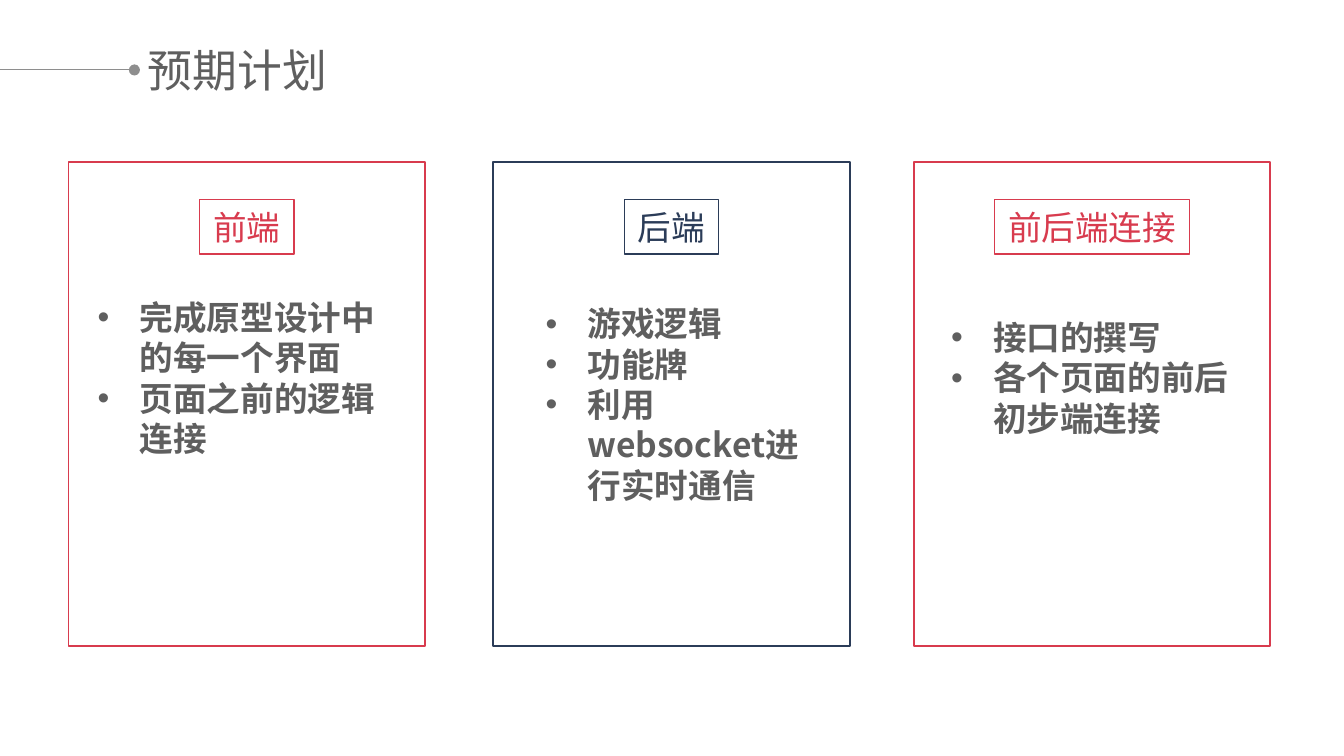
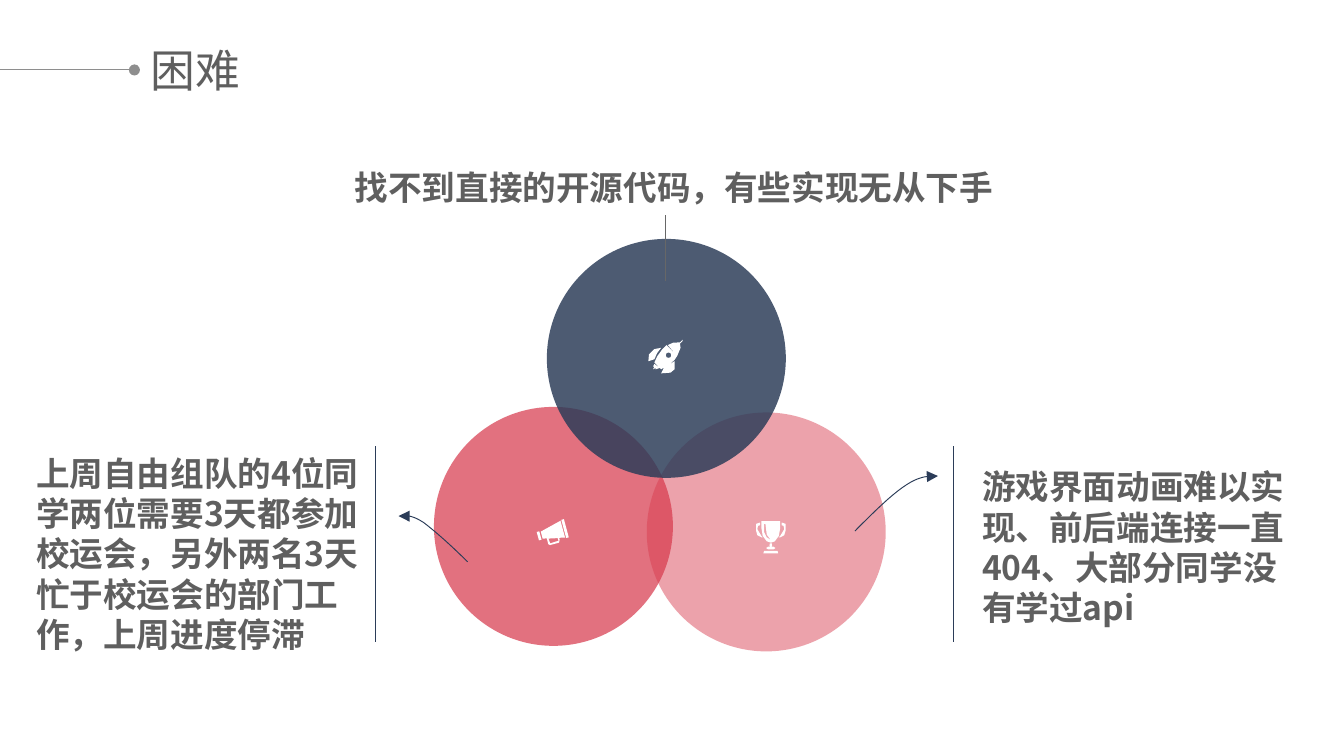
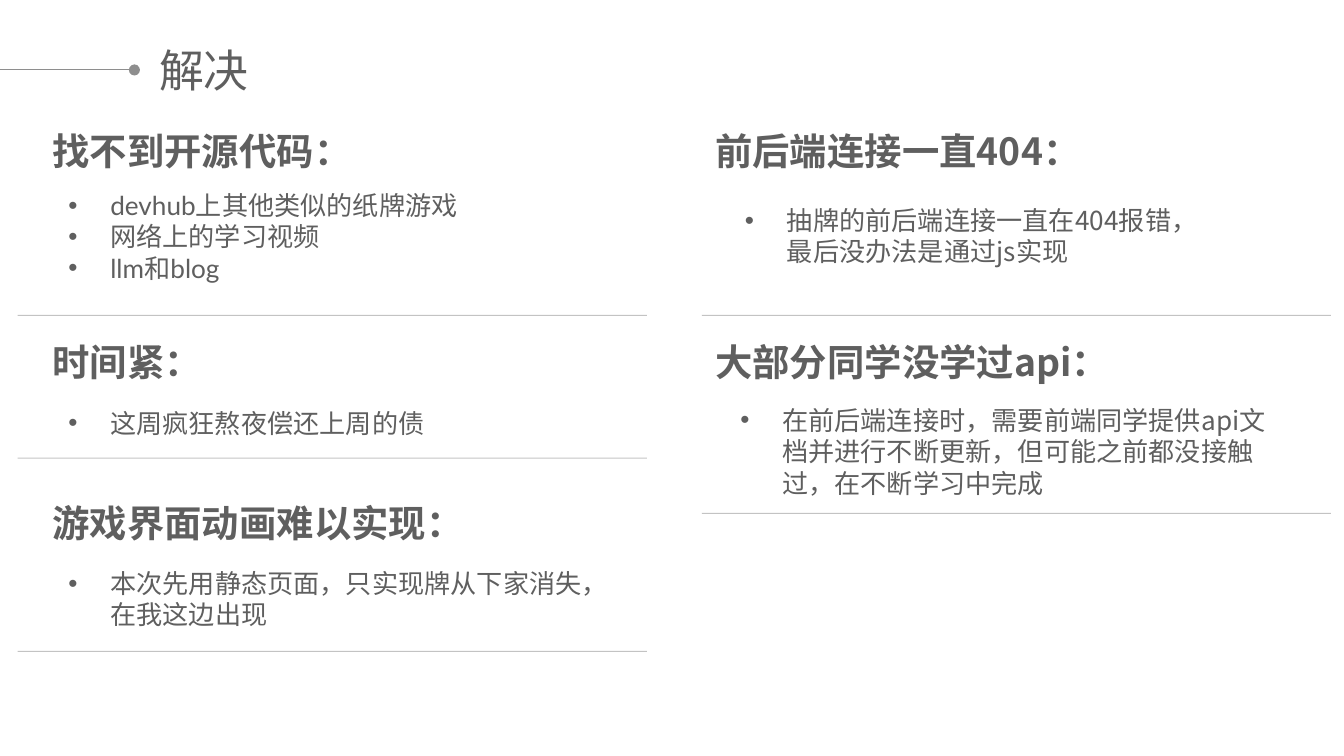
from lxml.etree import SubElement
from pptx import Presentation
from pptx.dml.color import RGBColor
from pptx.enum.shapes import MSO_CONNECTOR, MSO_SHAPE
from pptx.enum.text import MSO_ANCHOR, PP_ALIGN
from pptx.oxml.ns import qn
from pptx.util import Pt

RED, NAVY, GREY = "D83B4E", "2B3C58", "5F5F5F"
RULE_GREY, TITLE_LINE, WHITE = "676767", "8E8E8E", "FFFFFF"
CJK_FONT, LATIN_FONT = "Noto Sans CJK SC", "Lato"
INDENT = 22.5
ICON_UNIT = 0.72

FORMATS = {
    "title": {"name": CJK_FONT, "size": Pt(24), "bold": False},
    "badge": {"name": CJK_FONT, "size": Pt(18), "bold": False},
    "body": {"name": CJK_FONT, "size": Pt(18), "bold": True},
    "heading": {"name": CJK_FONT, "size": Pt(20), "bold": True},
    "detail": {"name": CJK_FONT, "size": Pt(14), "bold": False},
    "latin detail": {"name": LATIN_FONT, "size": Pt(14), "bold": False},
}

# Icon outlines: contours of points on a grid of ICON_UNIT.
ROCKET = [
    [(10, 25), (12, 21), (20, 16), (20, 22), (17, 24.5)],
    [(5, 17), (7, 12.5), (11, 7), (14, 4), (22, 12), (20, 15), (16, 18.5), (10, 22)],
    [(14, 10), (15.5, 9.5), (17, 10), (17.5, 11.5), (17, 13), (15.5, 13.5),
     (14, 13), (13.5, 11.5)],
    [(15, 4), (19, 2.2), (24, 2), (26, 0), (26, 1), (24, 3), (24.5, 6), (22, 12)],
    [(0.5, 16), (1, 11), (5, 7), (10, 6), (7, 10), (5, 14.5)],
    [(6, 22), (6, 21), (4, 22), (5, 20), (4, 20), (5, 18), (9, 21)],
]
MEGAPHONE = [
    [(20, 0), (22, 0), (22, 14), (20, 14)],
    [(3, 4.5), (19.3, 0.5), (19.3, 13.5), (15, 12.5), (15, 14), (14, 16),
     (7, 16), (6, 15), (6, 10.5), (3, 10)],
    [(7.2, 11), (14, 12.5), (14, 14.5), (7.5, 14.8)],
    [(0, 4), (2, 4), (2, 10.5), (0, 10.5)],
]
HANDLE = [(18, 12), (17, 12), (18, 11), (21, 6), (20.5, 3.5), (19, 3), (19, 1),
          (22, 2), (22, 7), (21, 10.5)]
TROPHY = [
    [(4, 0), (18, 0), (18, 5), (17, 11), (14, 15), (11, 16), (8, 15), (5, 11), (4, 5)],
    [(7, 2), (6, 2), (6, 8), (8, 12), (11, 14), (8, 10)],
    HANDLE,
    [(22 - x, y) for x, y in HANDLE],
    [(10, 18), (10.3, 16.5), (11.7, 16.5), (12, 18), (11.5, 19), (10.5, 19)],
    [(9, 19), (13, 19), (14.5, 20), (13, 21), (9, 21), (7.5, 20)],
    [(6, 22), (16, 22), (16.5, 24), (5.5, 24)],
]


def color(hex_text):
    return RGBColor.from_string(hex_text)


def set_opacity(shape, percent):
    for node in shape.element.spPr.iter(qn("a:srgbClr")):
        SubElement(node, qn("a:alpha"), val=str(percent * 1000))


def style_line(shape, hex_text, width, end=None):
    shape.line.color.rgb = color(hex_text)
    shape.line.width = Pt(width)
    if end:
        outline = shape.element.spPr.find(qn("a:ln"))
        SubElement(outline, qn("a:tailEnd"), type=end)


def add_line(page, start, finish, hex_text, end=None):
    line = page.shapes.add_connector(
        MSO_CONNECTOR.STRAIGHT, *(Pt(value) for value in (*start, *finish)))
    style_line(line, hex_text, 0.5, end)
    SubElement(line.element.spPr, qn("a:effectLst"))
    return line


def add_shape(page, kind, bounds):
    shape = page.shapes.add_shape(kind, *(Pt(value) for value in bounds))
    shape.shadow.inherit = False
    shape.fill.background()
    return shape


def add_bullet(para):
    properties = para._p.get_or_add_pPr()
    properties.set("marL", str(Pt(INDENT)))
    properties.set("indent", str(-Pt(INDENT)))
    SubElement(properties, qn("a:buFont"), typeface="Arial")
    SubElement(properties, qn("a:buChar"), char="•")


def write(shape, lines, style, hex_text=GREY, align=PP_ALIGN.LEFT, bullets=False):
    """Fill a shape with one paragraph for each line, in a named format."""
    frame = shape.text_frame
    frame.word_wrap = True
    for index, text in enumerate(lines):
        para = frame.paragraphs[0] if index == 0 else frame.add_paragraph()
        para.alignment = align
        para.space_before = Pt(0)
        para.line_spacing = Pt(FORMATS[style]["size"].pt * 1.2)
        if bullets:
            add_bullet(para)
        span = para.add_run()
        span.text = text
        for name, value in FORMATS[style].items():
            setattr(span.font, name, value)
        span.font.color.rgb = color(hex_text)
        properties = span._r.get_or_add_rPr()
        properties.set("lang", "zh-CN")
        SubElement(properties, qn("a:ea"), typeface=CJK_FONT)


def add_text(page, bounds, lines, style, bullets=False):
    box = page.shapes.add_textbox(*(Pt(value) for value in bounds))
    write(box, lines, style, bullets=bullets)


def add_page(deck, title, left):
    """Add a slide with the line and dot that lead to its title."""
    page = deck.slides.add_slide(deck.slide_layouts[5])
    add_line(page, (0, 37.5), (72, 37.5), TITLE_LINE, "oval")
    box = page.shapes.title
    box.left, box.top, box.width, box.height = Pt(left), Pt(19.5), Pt(142), Pt(36)
    box.text_frame.vertical_anchor = MSO_ANCHOR.TOP
    write(box, [title], "title")
    return page


def add_outline(page, contours, origin, closed=True):
    """Draw contours, given in points, relative to the origin."""
    builder = page.shapes.build_freeform(
        *(Pt(value) for value in contours[0][0]), scale=1.0)
    for index, contour in enumerate(contours):
        points = [(Pt(x), Pt(y)) for x, y in contour]
        if index:
            builder.move_to(*points[0])
        builder.add_line_segments(points[1:], close=closed)
    shape = builder.convert_to_shape(Pt(origin[0]), Pt(origin[1]))
    shape.shadow.inherit = False
    return shape


def add_icon(page, contours, left, top, rotation=0):
    scaled = [[(x * ICON_UNIT, y * ICON_UNIT) for x, y in contour]
              for contour in contours]
    icon = add_outline(page, scaled, (left, top))
    icon.fill.solid()
    icon.fill.fore_color.rgb = color(WHITE)
    icon.line.fill.background()
    icon.rotation = rotation


def bezier(controls, steps=10):
    """Return points along a cubic curve, without its first point."""
    weights = (1, 3, 3, 1)
    return [tuple(sum(weight * (1 - t) ** (3 - power) * t ** power * point[axis]
                      for power, (weight, point) in enumerate(zip(weights, controls)))
                  for axis in (0, 1))
            for t in (step / steps for step in range(1, steps + 1))]


def add_curved_arrow(page, origin, controls):
    points = [controls[0]]
    for first in range(0, len(controls) - 1, 3):
        points += bezier(controls[first:first + 4])
    arrow = add_outline(page, [points], origin, closed=False)
    arrow.fill.background()
    style_line(arrow, NAVY, 0.5, "triangle")


def add_plan_card(page, left, hex_text, label, badge_width, tasks, task_bounds):
    """Draw a framed card; task_bounds is relative to the card."""
    top, width, height = 87, 191, 259
    card = add_shape(page, MSO_SHAPE.RECTANGLE, (left, top, width, height))
    style_line(card, hex_text, 1)
    badge = add_shape(page, MSO_SHAPE.RECTANGLE,
                      (left + (width - badge_width) / 2, top + 20, badge_width, 29))
    style_line(badge, hex_text, 0.75)
    write(badge, [label], "badge", hex_text, PP_ALIGN.CENTER)
    badge.text_frame.word_wrap = False
    x, y, task_width, task_height = task_bounds
    add_text(page, (left + x, top + y, task_width, task_height), tasks, "body", True)


def build_plan(deck):
    page = add_page(deck, "预期计划", 72)
    add_plan_card(page, 36.75, RED, "前端", 50.5,
                  ["完成原型设计中的每一个界面", "页面之前的逻辑连接"],
                  (8.5, 68.5, 175.5, 94))
    add_plan_card(page, 264.25, NAVY, "后端", 50.5,
                  ["游戏逻辑", "功能牌", "利用websocket进行实时通信"],
                  (21, 72, 160, 94))
    add_plan_card(page, 489.5, RED, "前后端连接", 104.5,
                  ["接口的撰写", "各个页面的前后初步端连接"],
                  (13, 79.25, 175, 73))


def add_circles(page, left, top):
    """Draw three overlapping circles with their icons."""
    size = 128
    for x, y, hex_text, opacity in (
            (0, 90, RED, 72), (114, 93, RED, 47), (60.5, 0, NAVY, 84)):
        circle = add_shape(page, MSO_SHAPE.OVAL, (left + x, top + y, size, size))
        circle.fill.solid()
        circle.fill.fore_color.rgb = color(hex_text)
        circle.line.fill.background()
        set_opacity(circle, opacity)
    add_icon(page, ROCKET, left + 114.5, top + 54)
    add_icon(page, MEGAPHONE, left + 55.5, top + 152, 345)
    add_icon(page, TROPHY, left + 172.5, top + 151.25)


def build_difficulties(deck):
    page = add_page(deck, "困难", 73.5)
    for x in (201, 511):
        add_line(page, (x, 239), (x, 344), NAVY)
    add_text(page, (12.25, 239, 191.5, 116),
             ["上周自由组队的4位同学两位需要3天都参加校运会，"
              "另外两名3天忙于校运会的部门工作，上周进度停滞"], "body")
    add_text(page, (183, 85.75, 365, 29),
             ["找不到直接的开源代码，有些实现无从下手"], "body")
    add_text(page, (519, 246.25, 187, 98),
             ["游戏界面动画难以实现、前后端连接一直404、大部分同学没有学过api"], "body")
    add_circles(page, 232.5, 128)
    add_line(page, (356.5, 115.25), (356.5, 150.5), RULE_GREY)
    add_curved_arrow(page, (458, 255), [
        (0, 29.5), (10, 19.5), (20, 9.5), (28, 4.5), (35, 0), (39.5, 0), (44.5, 0)])
    add_curved_arrow(page, (213.5, 276), [
        (37, 25), (28.5, 16.5), (19.5, 8.5), (13.5, 4), (7.5, 0), (4, 0), (0, 0.5)])


def add_solution(page, left, top, heading, details, style, detail_bounds, rule):
    """Place a heading, its details and a rule relative to the heading's box."""
    add_text(page, (left, top, 312, 31.5), [heading], "heading")
    x, y, width, height = detail_bounds
    add_text(page, (left + x, top + y, width, height), details, style, True)
    rule_x, rule_y = left + rule[0], top + rule[1]
    line = add_line(page, (rule_x, rule_y), (rule_x + 337, rule_y), RULE_GREY)
    set_opacity(line, 38)


def build_solutions(deck):
    page = add_page(deck, "解决", 78)
    left_column = (
        (65, "找不到开源代码：",
         ["devhub上其他类似的纸牌游戏", "网络上的学习视频", "llm和blog"],
         (8.5, 33, 299.5, 58), 104),
        (178, "时间紧：", ["这周疯狂熬夜偿还上周的债"], (8.5, 36.5, 280, 24.5), 67.5),
        (264.5, "游戏界面动画难以实现：",
         ["本次先用静态页面，只实现牌从下家消失，在我这边出现"],
         (8.5, 36, 295, 41), 84.5),
    )
    right_column = (
        (65, "前后端连接一直404：",
         ["抽牌的前后端连接一直在404报错，最后没办法是通过js实现"],
         (16, 41, 250, 41), 104),
        (178, "大部分同学没学过api：",
         ["在前后端连接时，需要前端同学提供api文档并进行不断更新，"
          "但可能之前都没接触过，在不断学习中完成"],
         (13.5, 35, 296, 58), 97),
    )
    for left, rule_shift, style, column in (
            (21, -11.5, "latin detail", left_column),
            (376, 0, "detail", right_column)):
        for top, heading, details, bounds, rule_y in column:
            add_solution(page, left, top, heading, details, style, bounds,
                         (rule_shift, rule_y))


def main():
    deck = Presentation()
    deck.slide_width, deck.slide_height = Pt(720), Pt(405)
    build_plan(deck)
    build_difficulties(deck)
    build_solutions(deck)
    deck.save("out.pptx")


if __name__ == "__main__":
    main()
